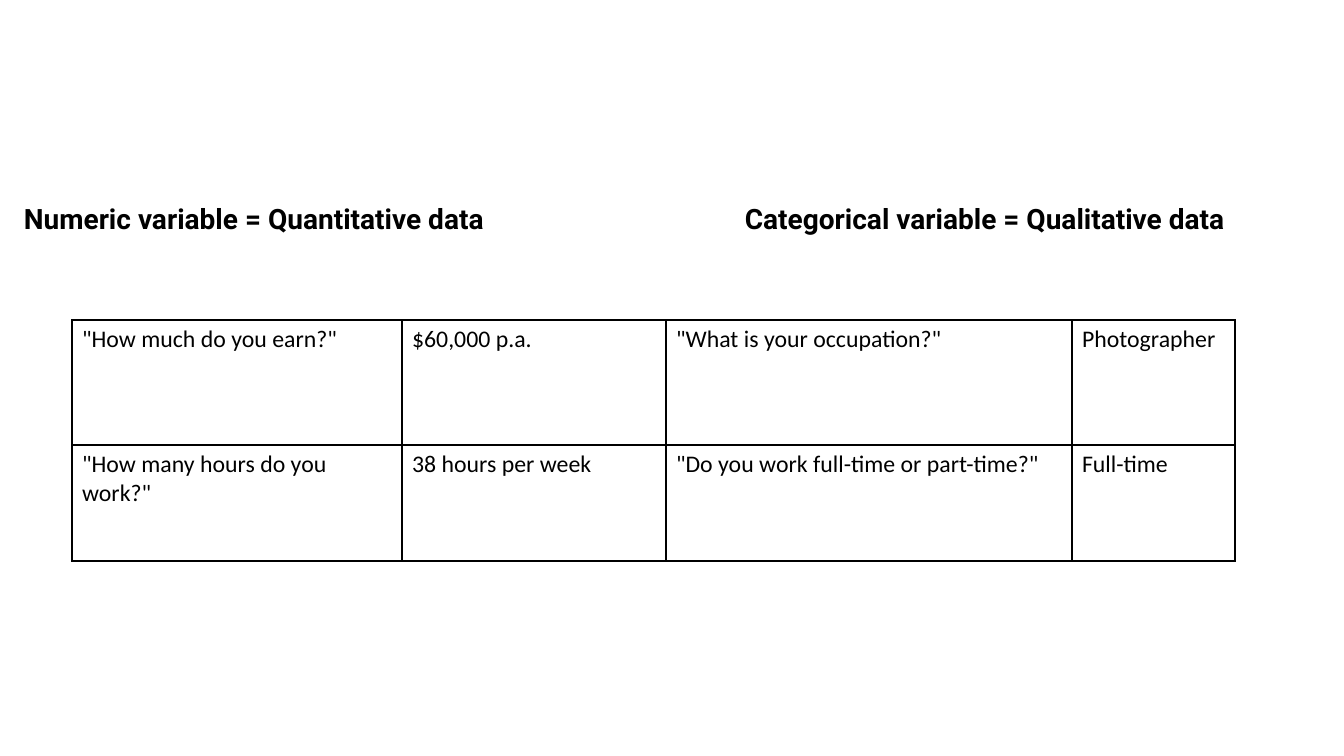
from lxml import etree
from pptx import Presentation
from pptx.dml.color import RGBColor
from pptx.enum.text import MSO_ANCHOR
from pptx.oxml.ns import qn
from pptx.util import Pt

SCALE = 914400 / 100.8
TOP = MSO_ANCHOR.TOP
BLACK = "000000"
SIDES = ("a:lnL", "a:lnR", "a:lnT", "a:lnB")

COLS = (330, 264, 406, 163)
ROWS = (125, 116)
CELLS = (
    ('"How much do you earn?"', "$60,000 p.a.",
     '"What is your occupation?"', "Photographer"),
    ('"How many hours do you work?"', "38 hours per week",
     '"Do you work full-time or part-time?"', "Full-time"),
)
HEADS = ("Numeric variable = Quantitative data",
         "Categorical variable = Qualitative data")


def px(count):
    return round(count * SCALE)


def color(code):
    return RGBColor.from_string(code)


def write(frame, text, font="Calibri", size=17, bold=False, hue=BLACK):
    frame.word_wrap = True
    frame.vertical_anchor = TOP
    para = frame.paragraphs[0]
    run = para.add_run()
    run.text = text
    run.font.name = font
    run.font.size = Pt(size)
    run.font.bold = bold
    run.font.color.rgb = color(hue)
    return para


def add_tab(para, pos):
    stops = etree.SubElement(para._p.get_or_add_pPr(), qn("a:tabLst"))
    etree.SubElement(stops, qn("a:tab"), pos=str(px(pos)), algn="l")


def add_heads(slide):
    box = slide.shapes.add_textbox(px(14), px(200), px(1313), px(121))
    para = write(box.text_frame, "\t".join(HEADS),
                 font="Roboto", size=20, bold=True)
    para.line_spacing = 0.9
    para.space_before = Pt(10)
    add_tab(para, 721)


def add_edges(cell, hue=BLACK, width=1):
    props = cell._tc.get_or_add_tcPr()
    for spot, side in enumerate(SIDES):
        line = etree.Element(qn(side), w=str(Pt(width)))
        fill = etree.SubElement(line, qn("a:solidFill"))
        etree.SubElement(fill, qn("a:srgbClr"), val=hue)
        props.insert(spot, line)


def add_grid(slide):
    frame = slide.shapes.add_table(len(ROWS), len(COLS), px(72), px(320),
                                   px(sum(COLS)), px(sum(ROWS)))
    table = frame.table
    table.first_row = False
    table.horz_banding = False
    for col, width in zip(table.columns, COLS):
        col.width = px(width)
    for row, height, texts in zip(table.rows, ROWS, CELLS):
        row.height = px(height)
        for cell, text in zip(row.cells, texts):
            cell.fill.background()
            write(cell.text_frame, text)
            add_edges(cell)


def main():
    deck = Presentation()
    deck.slide_width = px(1344)
    deck.slide_height = px(756)
    slide = deck.slides.add_slide(deck.slide_layouts[6])
    add_heads(slide)
    add_grid(slide)
    deck.save("out.pptx")


main()
